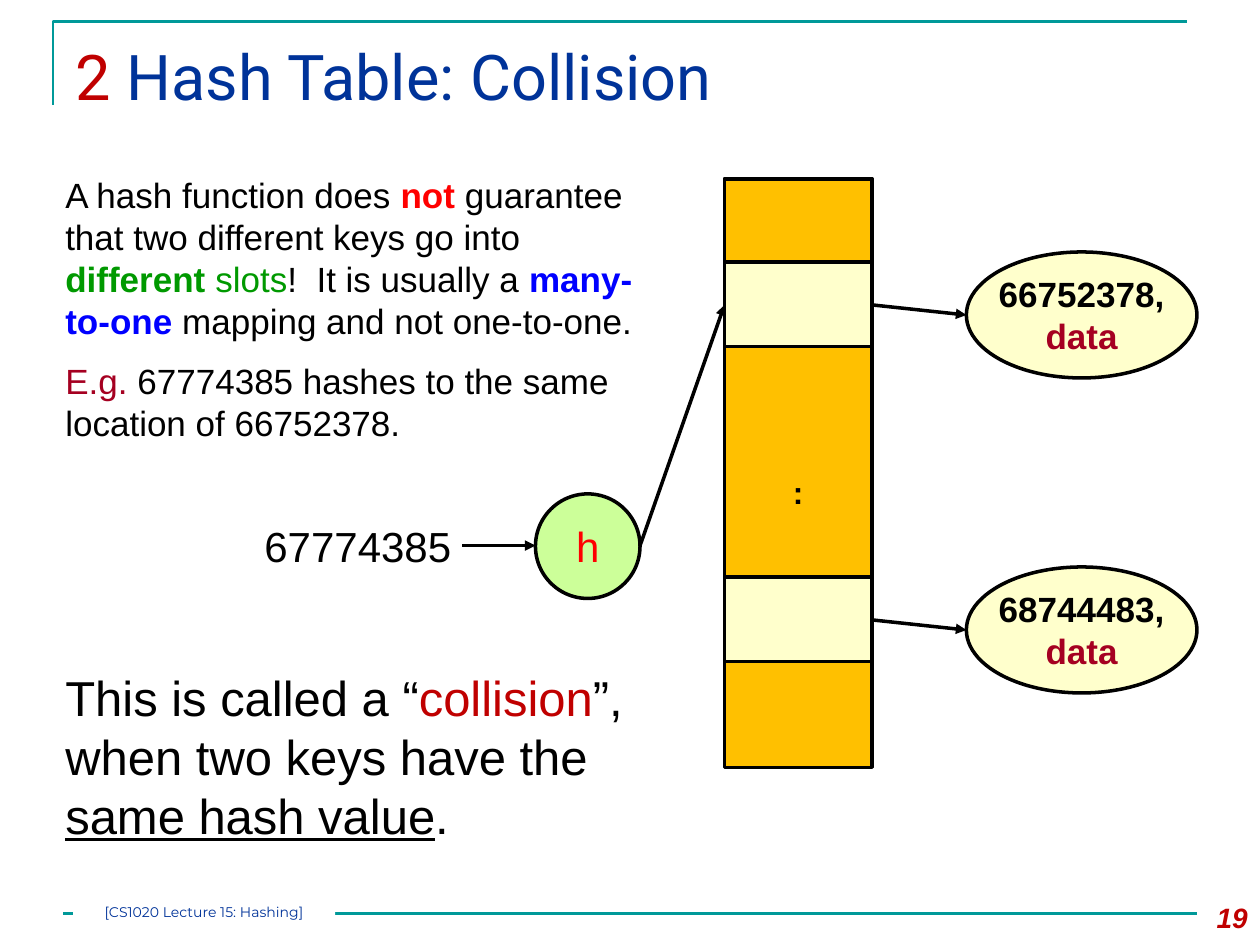
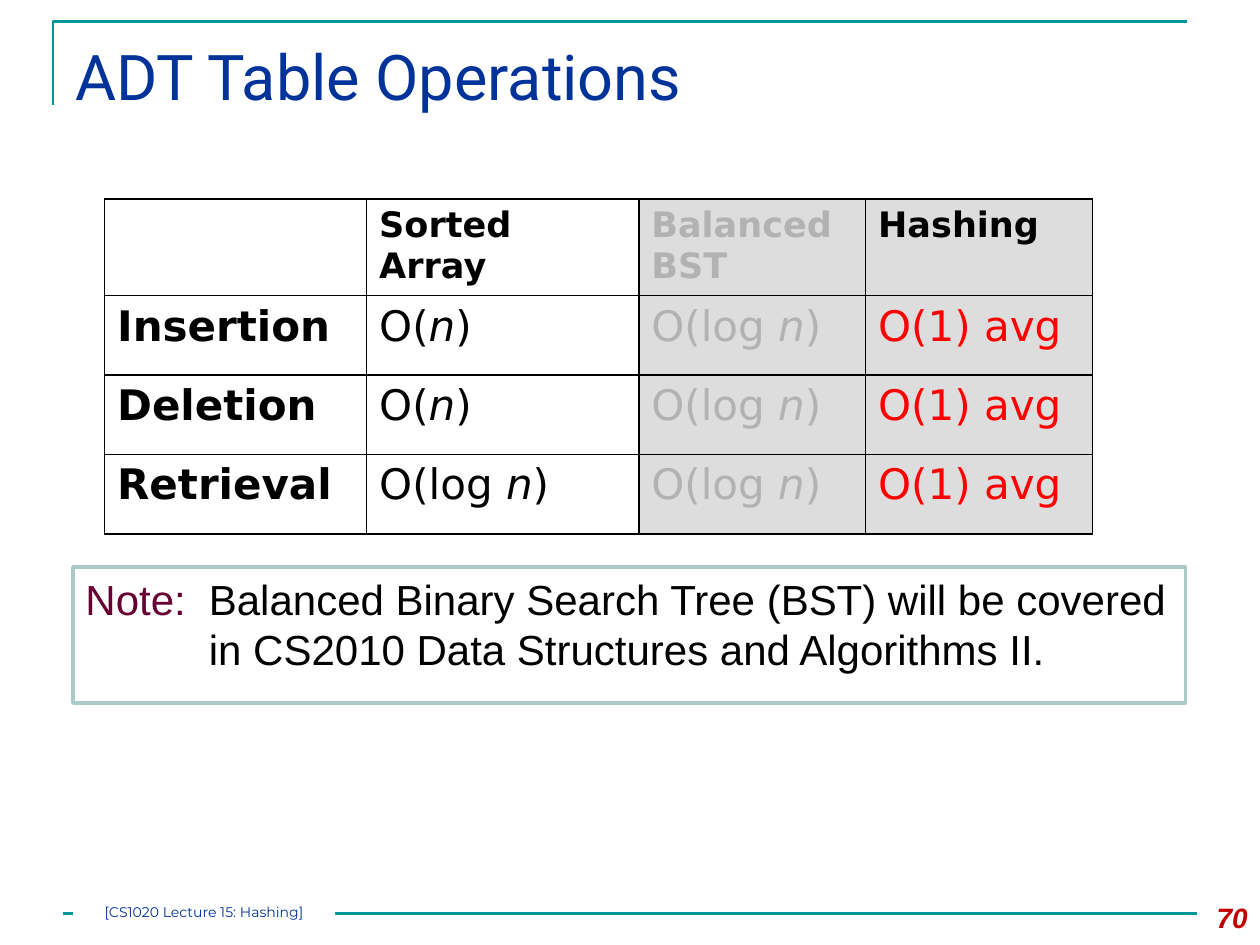
from lxml import etree
from pptx import Presentation
from pptx import util as u
from pptx.dml.color import RGBColor
from pptx.enum import shapes, text
from pptx.oxml import ns

TEAL = RGBColor(0x00, 0x99, 0x99)
NAVY = RGBColor(0x00, 0x33, 0x99)
BLACK = RGBColor(0x00, 0x00, 0x00)
WHITE = RGBColor(0xFF, 0xFF, 0xFF)
DARK_RED = RGBColor(0xC0, 0x00, 0x00)
RED = RGBColor(0xFF, 0x00, 0x00)
CRIMSON = RGBColor(0xA5, 0x00, 0x21)
PLUM = RGBColor(0x66, 0x00, 0x33)
GREEN = RGBColor(0x00, 0x99, 0x00)
BLUE = RGBColor(0x00, 0x00, 0xFF)
AMBER = RGBColor(0xFF, 0xC0, 0x00)
CREAM = RGBColor(0xFF, 0xFF, 0xCC)
LIME = RGBColor(0xCC, 0xFF, 0x99)
PALE_TEAL = RGBColor(0xAA, 0xCA, 0xCA)
GREY_TEXT = RGBColor(0xB2, 0xB2, 0xB2)
GREY_FILL = RGBColor(0xDD, 0xDD, 0xDD)

FOOTER = "[CS1020 Lecture 15: Hashing]"
RECT = shapes.MSO_SHAPE.RECTANGLE
OVAL = shapes.MSO_SHAPE.OVAL
TOP = text.MSO_ANCHOR.TOP
MIDDLE = text.MSO_ANCHOR.MIDDLE
LEFT = text.PP_ALIGN.LEFT
CENTER = text.PP_ALIGN.CENTER
RIGHT = text.PP_ALIGN.RIGHT


def write(frame, paragraphs, size=20, font="Arial", color=BLACK, bold=False,
          italic=False, align=LEFT, anchor=TOP, wrap=True, gap=0, hang=0):
    """Fill a frame; each paragraph is a list of (text, overrides) runs."""
    frame.word_wrap = wrap
    frame.vertical_anchor = anchor
    for index, runs in enumerate(paragraphs):
        paragraph = frame.add_paragraph() if index else frame.paragraphs[0]
        paragraph.alignment = align
        if index and gap:
            paragraph.space_before = u.Pt(gap)
        if hang:
            properties = paragraph._p.get_or_add_pPr()
            properties.set("marL", str(u.Inches(hang)))
            properties.set("indent", str(-u.Inches(hang)))
        for words, changes in runs:
            run = paragraph.add_run()
            run.text = words
            run.font.name = font
            run.font.size = u.Pt(size)
            run.font.bold = changes.get("bold", bold)
            run.font.italic = changes.get("italic", italic)
            run.font.underline = changes.get("underline", False)
            run.font.color.rgb = changes.get("color", color)


def add_child(parent, tag, **attributes):
    return etree.SubElement(parent, ns.qn(tag), **attributes)


def plain(words, **changes):
    """One paragraph with one run."""
    return [[(words, changes)]]


def border_cell(cell, width=1):
    properties = cell._tc.get_or_add_tcPr()
    for position, side in enumerate(("a:lnL", "a:lnR", "a:lnT", "a:lnB")):
        line = etree.Element(ns.qn(side), w=str(u.Pt(width)))
        add_child(add_child(line, "a:solidFill"), "a:srgbClr", val=str(BLACK))
        properties.insert(position, line)


class Deck:
    """Holds the presentation, its shared style and the current slide."""

    def __init__(self):
        self.file = Presentation()
        self.file.slide_width = u.Inches(10)
        self.file.slide_height = u.Inches(7.5)
        self.slide = None

    def start(self, title, number):
        """Add a slide with its frame, title, page number and footer."""
        self.slide = self.file.slides.add_slide(self.file.slide_layouts[6])
        self.corner()
        self.line((0.5, 7.25), (9.5, 7.25), TEAL, 1.5)
        self.text((0.5, 0.25, 9, 0.86), [title], size=36, font="Roboto",
                  color=NAVY)
        self.text((9.33, 7.1, 0.67, 0.4), plain(str(number)), size=16,
                  color=DARK_RED, bold=True, italic=True, align=RIGHT)
        footer = self.shape((0.58, 7.17, 2.08, 0.17), WHITE, None)
        frame = footer.text_frame
        frame.margin_left = frame.margin_right = 0
        frame.margin_top = frame.margin_bottom = 0
        write(frame, plain(FOOTER), size=8, font="Montserrat", color=NAVY,
              align=CENTER)

    def corner(self):
        builder = self.slide.shapes.build_freeform(u.Inches(0.42),
                                                   u.Inches(0.83))
        builder.add_line_segments(
            [(u.Inches(x), u.Inches(0.17)) for x in (0.42, 9.42)],
            close=False)
        rule = builder.convert_to_shape()
        rule.shadow.inherit = False
        rule.fill.background()
        rule.line.color.rgb = TEAL
        rule.line.width = u.Pt(1.5)

    def text(self, box, paragraphs, **style):
        label = self.slide.shapes.add_textbox(*map(u.Inches, box))
        write(label.text_frame, paragraphs, **style)

    def shape(self, box, fill, outline=BLACK, kind=RECT):
        shape = self.slide.shapes.add_shape(kind, *map(u.Inches, box))
        shape.shadow.inherit = False
        shape.fill.solid()
        shape.fill.fore_color.rgb = fill
        if outline is None:
            shape.line.fill.background()
        else:
            shape.line.color.rgb = outline
            shape.line.width = u.Pt(2)
        return shape

    def line(self, start, end, color=BLACK, width=2, arrow=False):
        line = self.slide.shapes.add_connector(
            shapes.MSO_CONNECTOR.STRAIGHT, *map(u.Inches, start + end))
        line.line.color.rgb = color
        line.line.width = u.Pt(width)
        if arrow:
            add_child(line.line._get_or_add_ln(), "a:tailEnd",
                      type="triangle")
        add_child(line._element.spPr, "a:effectLst")

    def table(self, corner, widths, heights):
        """Add a bare table with black borders."""
        box = (*corner, sum(widths), sum(heights))
        table = self.slide.shapes.add_table(
            len(heights), len(widths), *map(u.Inches, box)).table
        table.first_row = table.horz_banding = False
        for column, width in zip(table.columns, widths):
            column.width = u.Inches(width)
        for row, height in zip(table.rows, heights):
            row.height = u.Inches(height)
        for cell in table.iter_cells():
            cell.fill.background()
            border_cell(cell)
        return table


def hash_slot(deck, top, key):
    """Draw a filled slot at top that points to its key and data."""
    entry = deck.shape((7.67, top - 0.08, 1.83, 1), CREAM, kind=OVAL)
    write(entry.text_frame, [[(key + ",", {})], [("data", {"color": CRIMSON})]],
          bold=True, align=CENTER, anchor=MIDDLE, wrap=False)
    deck.line((6.92, top + 0.34), (7.67, top + 0.42), arrow=True)
    deck.shape((5.75, top, 1.17, 0.67), CREAM)


def collision_slide(deck):
    deck.start([("2 ", {"color": DARK_RED}), ("Hash Table: Collision", {})], 19)

    hash_table = deck.shape((5.75, 1.42, 1.17, 4.67), AMBER)
    hash_table.text_frame.margin_top = u.Inches(0.34)
    write(hash_table.text_frame, plain(":"), size=18, bold=True,
          align=CENTER, anchor=MIDDLE, wrap=False)
    deck.shape((5.75, 1.42, 1.17, 0.67), AMBER)
    # The lower edge of the last free block
    deck.text((2, 4.08, 1.7, 0.5), plain("67774385"), size=24, wrap=False)
    function = deck.shape((4.25, 3.92, 0.83, 0.83), LIME, kind=OVAL)
    write(function.text_frame, plain("h"), size=24, color=RED, align=CENTER,
          anchor=MIDDLE, wrap=False)
    deck.line((5.08, 4.33), (5.75, 2.42), arrow=True)
    deck.line((3.67, 4.33), (4.25, 4.33), arrow=True)
    for top, key in ((4.58, "68744483"), (2.08, "66752378")):
        hash_slot(deck, top, key)

    deck.text((0.42, 5.25, 5.02, 1.51), [[
        ("This is called a “", {}),
        ("collision", {"color": DARK_RED}),
        ("”, when two keys have the ", {}),
        ("same hash value", {"underline": True}),
        (".", {}),
    ]], size=28)
    deck.text((0.42, 1.33, 5, 2.29), [
        [("A hash function does ", {}),
         ("not ", {"color": RED, "bold": True}),
         ("guarantee that two different keys go into ", {}),
         ("different", {"color": GREEN, "bold": True}),
         (" slots", {"color": GREEN}),
         ("!  It is usually a ", {}),
         ("many-to-one", {"color": BLUE, "bold": True}),
         (" mapping and not one-to-one.", {})],
        [("E.g.", {"color": CRIMSON}),
         (" 67774385 hashes to the same location of 66752378.", {})],
    ], gap=10)


def order_of(growth):
    """Runs for O(growth), with the variable n in italics."""
    before, variable, after = f"O({growth})".partition("n")
    runs = [(before, {}), (variable, {"italic": True}), (after, {})]
    return [[run for run in runs if run[0]]]


def operations_slide(deck):
    deck.start([("ADT Table Operations", {})], 70)

    note = deck.shape((0.58, 4.5, 8.83, 1.08), WHITE, PALE_TEAL)
    write(note.text_frame, [[
        ("Note:\t", {"color": PLUM}),
        ("Balanced Binary Search Tree (BST) will be covered in CS2010 "
         "Data Structures and Algorithms II.", {}),
    ]], size=24, hang=0.98)

    costs = deck.table((0.83, 1.58), [2.08, 2.16, 1.8, 1.8],
                       [0.75] + [0.63] * 3)
    headings = (("Sorted Array", BLACK), ("Balanced BST", GREY_TEXT),
                ("Hashing", BLACK))
    for column, (heading, color) in enumerate(headings, 1):
        write(costs.cell(0, column).text_frame, plain(heading),
              font="DejaVu Sans", bold=True, color=color)
    operations = (("Insertion", "n"), ("Deletion", "n"),
                  ("Retrieval", "log n"))
    for row, (operation, array_growth) in enumerate(operations, 1):
        entries = ((plain(operation, bold=True), BLACK),
                   (order_of(array_growth), BLACK),
                   (order_of("log n"), GREY_TEXT),
                   (plain("O(1) avg"), RED))
        for column, (entry, color) in enumerate(entries):
            write(costs.cell(row, column).text_frame, entry, size=24,
                  font="DejaVu Sans", color=color)
    for row in range(4):
        for column in (2, 3):
            shaded = costs.cell(row, column).fill
            shaded.solid()
            shaded.fore_color.rgb = GREY_FILL


def main():
    deck = Deck()
    collision_slide(deck)
    operations_slide(deck)
    deck.file.save("out.pptx")


if __name__ == "__main__":
    main()
